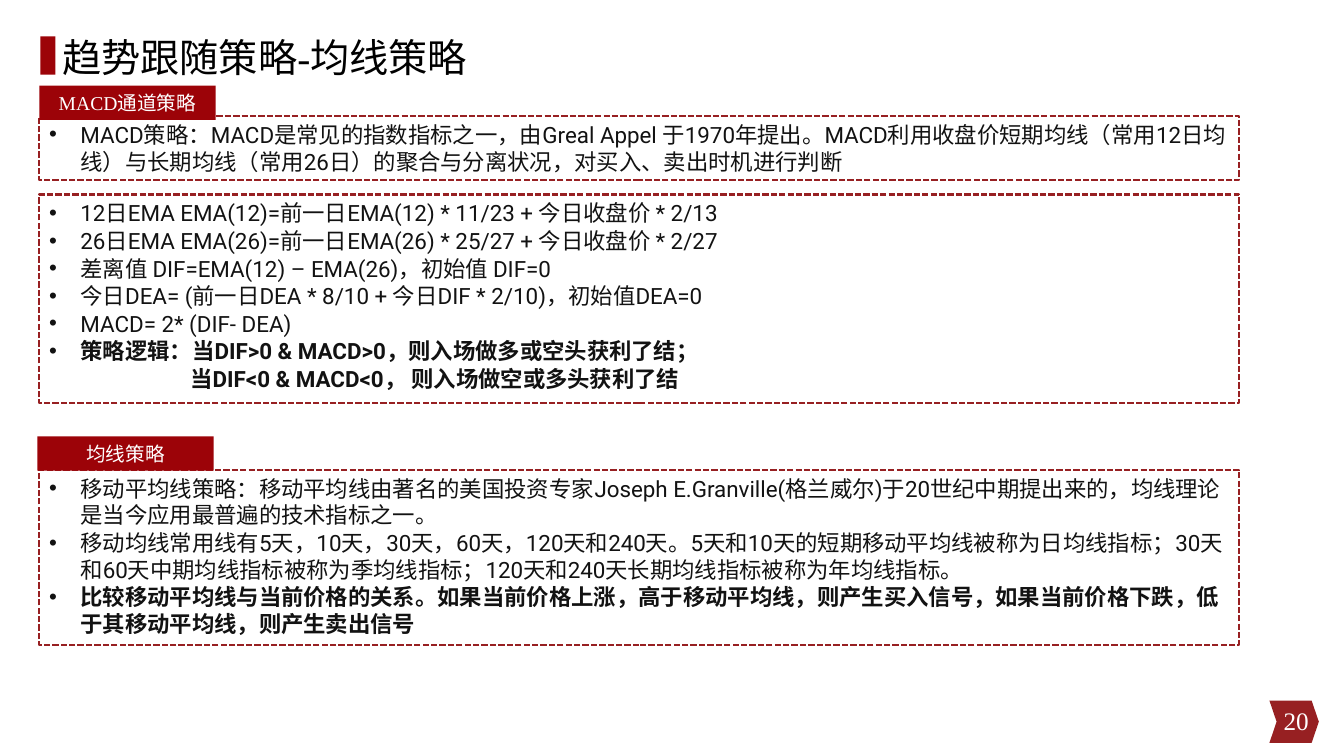
"""Builds the slide on moving-average trend-following strategies."""
from lxml import etree
from pptx import Presentation
from pptx.dml.color import RGBColor
from pptx.enum.dml import MSO_LINE
from pptx.enum.shapes import MSO_SHAPE
from pptx.enum.text import MSO_ANCHOR, MSO_AUTO_SIZE, PP_ALIGN
from pptx.oxml.ns import qn
from pptx.util import Inches, Pt

COLORS = {"tag": "9C0308", "frame": "972022", "body": "121212", "title": "000000", "light": "FFFFFF"}
SERIF = "Times New Roman"

deck = Presentation()
deck.slide_width, deck.slide_height = Inches(13.33), Inches(7.5)
page = deck.slides.add_slide(deck.slide_layouts[6])


def add_block(kind, place, fill=None):
    """Add a preset shape, filled or framed with dashes."""
    block = page.shapes.add_shape(kind, *[Inches(length) for length in place])
    block.shadow.inherit = False
    if fill:
        block.fill.solid()
        block.fill.fore_color.rgb = RGBColor.from_string(COLORS[fill])
        block.line.fill.background()
    else:
        block.fill.background()
        block.line.color.rgb = RGBColor.from_string(COLORS["frame"])
        block.line.width = Pt(1.5)
        block.line.dash_style = MSO_LINE.SQUARE_DOT
    return block


def write(para, text, size, font, color, align=PP_ALIGN.LEFT, bold=False):
    """Add one styled run to a paragraph."""
    para.alignment = align
    para.space_after = Pt(0.5)
    span = para.add_run()
    span.text = text
    span.font.size = Pt(size)
    span.font.name = font
    span.font.bold = bold
    span.font.color.rgb = RGBColor.from_string(COLORS[color])


chevron = add_block(MSO_SHAPE.CHEVRON, (12.59, 6.95, 0.49, 0.42), "frame")
chevron.adjustments[0] = 0.17
add_block(MSO_SHAPE.RECTANGLE, (0.4, 0.36, 0.15, 0.38), "tag")

headings = [
    ("趋势跟随策略-均线策略", (0.52, -0.02, 11.31, 1.17), 28, "title", PP_ALIGN.LEFT),
    ("20", (10.08, 6.95, 3, 0.4), 18, "light", PP_ALIGN.RIGHT),
]
for text, place, size, color, align in headings:
    box = page.shapes.add_textbox(*[Inches(length) for length in place])
    box.text_frame.word_wrap = True
    box.text_frame.vertical_anchor = MSO_ANCHOR.MIDDLE
    write(box.text_frame.paragraphs[0], text, size, SERIF, color, align)

PLAIN, BOLD, CONTINUED = "plain", "bold", "continued"
panels = [
    (1.15, 0.64, [
        (PLAIN, "MACD策略：MACD是常见的指数指标之一，由Greal Appel 于1970年提出。MACD利用收盘价短期均线（常用12日均线）与长期均线（常用26日）的聚合与分离状况，对买入、卖出时机进行判断"),
    ]),
    (1.93, 2.07, [
        (PLAIN, "12日EMA EMA(12)=前一日EMA(12) * 11/23 + 今日收盘价 * 2/13"),
        (PLAIN, "26日EMA EMA(26)=前一日EMA(26) * 25/27 + 今日收盘价 * 2/27"),
        (PLAIN, "差离值 DIF=EMA(12) – EMA(26)，初始值 DIF=0"),
        (PLAIN, "今日DEA= (前一日DEA * 8/10 + 今日DIF * 2/10)，初始值DEA=0"),
        (PLAIN, "MACD= 2* (DIF- DEA)"),
        (BOLD, "策略逻辑：当DIF>0 & MACD>0，则入场做多或空头获利了结；"),
        (CONTINUED, "当DIF<0 & MACD<0， 则入场做空或多头获利了结"),
    ]),
    (4.66, 1.74, [
        (PLAIN, "移动平均线策略：移动平均线由著名的美国投资专家Joseph E.Granville(格兰威尔)于20世纪中期提出来的，均线理论是当今应用最普遍的技术指标之一。"),
        (PLAIN, "移动均线常用线有5天，10天，30天，60天，120天和240天。5天和10天的短期移动平均线被称为日均线指标；30天和60天中期均线指标被称为季均线指标；120天和240天长期均线指标被称为年均线指标。"),
        (BOLD, "比较移动平均线与当前价格的关系。如果当前价格上涨，高于移动平均线，则产生买入信号，如果当前价格下跌，低于其移动平均线，则产生卖出信号"),
    ]),
]
for top, height, lines in panels:
    frame = add_block(MSO_SHAPE.RECTANGLE, (0.39, top, 11.9, height)).text_frame
    frame.word_wrap = True
    frame.auto_size = MSO_AUTO_SIZE.SHAPE_TO_FIT_TEXT
    frame.vertical_anchor = MSO_ANCHOR.TOP
    for index, (style, text) in enumerate(lines):
        para = frame.add_paragraph() if index else frame.paragraphs[0]
        write(para, text, 16, "Roboto", "body", bold=style != PLAIN)
        layout = para._p.get_or_add_pPr()
        if style == CONTINUED:
            layout.set("marL", str(Inches(1.4)))
            layout.set("indent", "0")
        else:
            layout.set("marL", str(Inches(0.31)))
            layout.set("indent", str(Inches(-0.31)))
            etree.SubElement(layout, qn("a:buFont")).set("typeface", "Arial")
            etree.SubElement(layout, qn("a:buChar")).set("char", "•")

for text, left, top in [("MACD通道策略", 0.39, 0.85), ("均线策略", 0.37, 4.33)]:
    frame = add_block(MSO_SHAPE.RECTANGLE, (left, top, 1.75, 0.34), "tag").text_frame
    frame.word_wrap = True
    frame.auto_size = MSO_AUTO_SIZE.SHAPE_TO_FIT_TEXT
    write(frame.paragraphs[0], text, 14, SERIF, "light", PP_ALIGN.CENTER)

deck.save("out.pptx")
